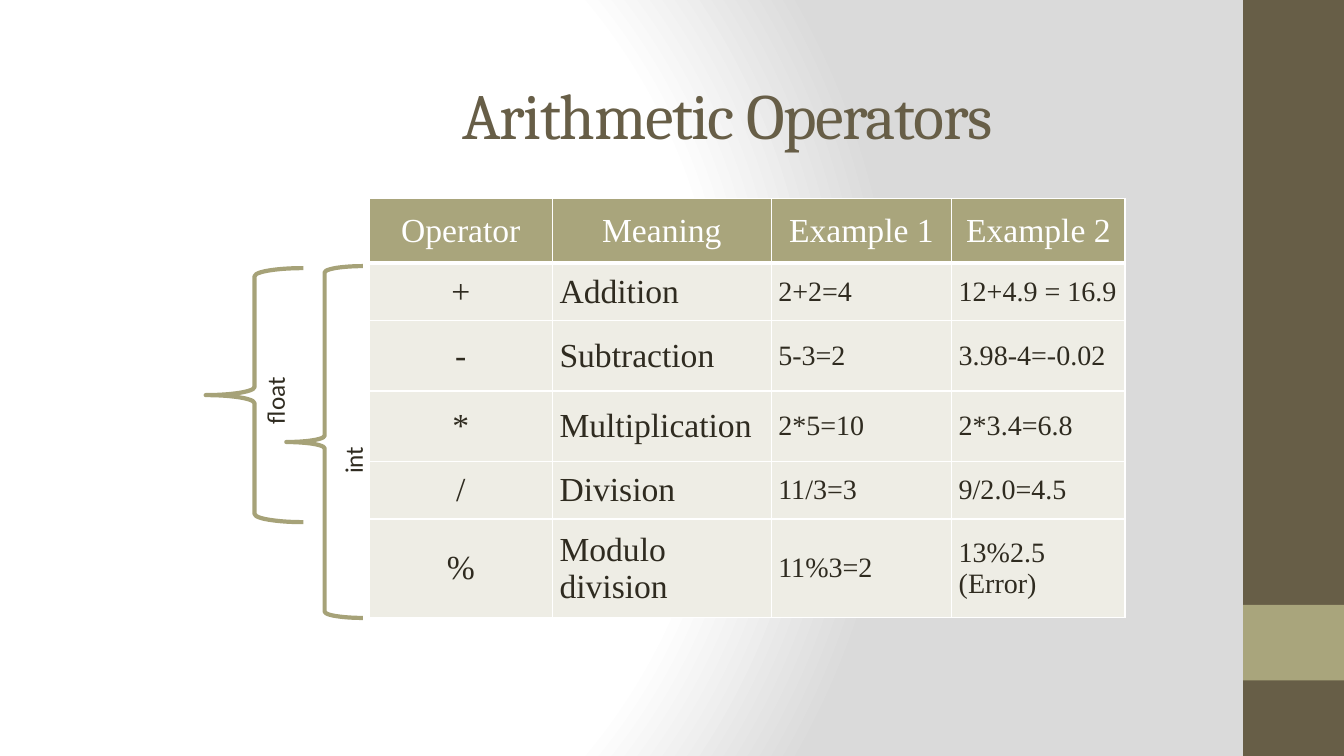
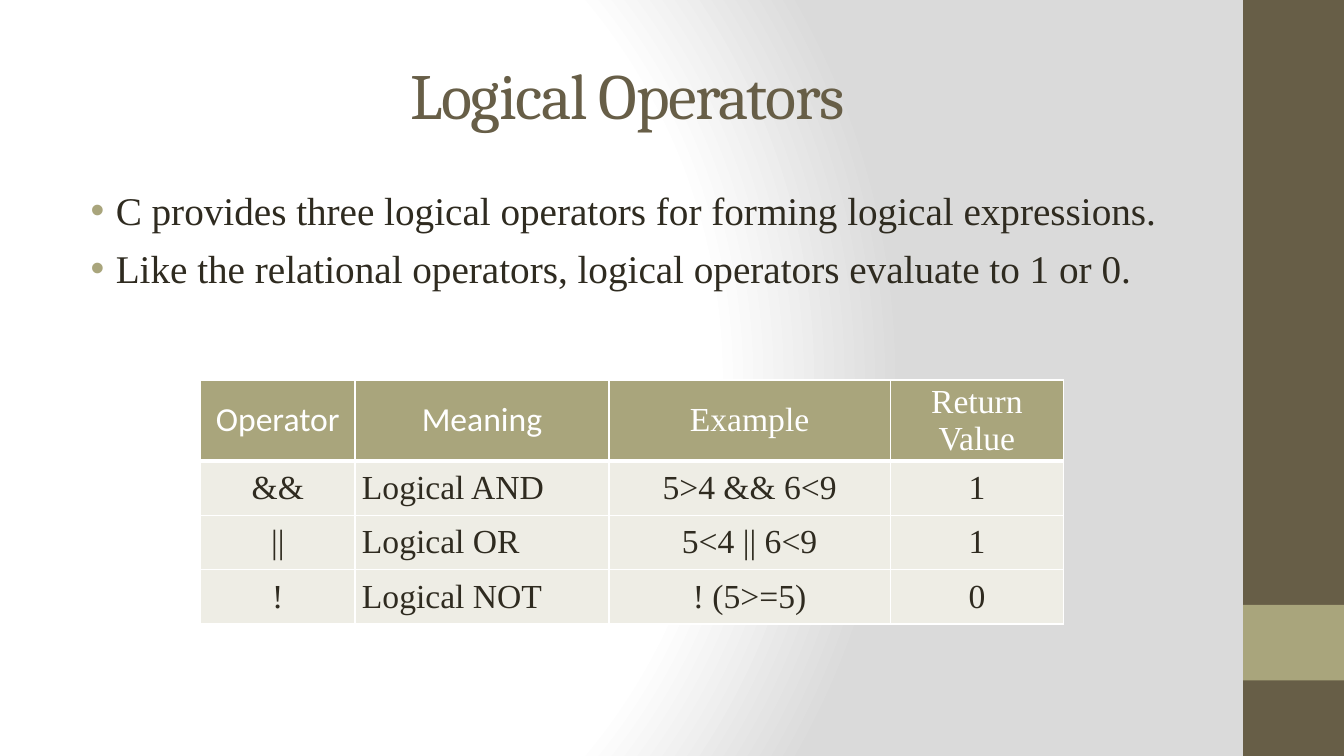
from lxml import etree
from pptx import Presentation
from pptx.dml.color import RGBColor
from pptx.enum import shapes, text
from pptx.oxml import parse_xml
from pptx.oxml.ns import nsdecls, qn
from pptx.util import Inches, Pt

BROWN, OLIVE, INK = "675E47", "A9A57C", "2F2B20"
PALE, WHITE, BRACE = "EEEDE5", "FFFFFF", "A6A278"
SERIF, SANS, HEADING = "Times New Roman", "Calibri", "Cambria"
LEFT, CENTER, JUSTIFY = text.PP_ALIGN.LEFT, text.PP_ALIGN.CENTER, text.PP_ALIGN.JUSTIFY


def color(hex_string):
    return RGBColor.from_string(hex_string)


def inches(box):
    return [Inches(length) for length in box]


def style(paragraph, font, size, hex_string, align=LEFT):
    paragraph.alignment = align
    for run in paragraph.runs:
        run.font.name = font
        run.font.size = Pt(size)
        run.font.bold = False
        run.font.color.rgb = color(hex_string)


# Shared background, bands and title
def set_background(master):
    master.background.fill.gradient()
    gradient = master.element.find(".//" + qn("a:gradFill"))
    stops = "".join(
        f'<a:gs pos="{position}000"><a:srgbClr val="{shade}"/></a:gs>'
        for position, shade in ((0, WHITE), (75, WHITE), (100, "DADADA")))
    gradient.getparent().replace(gradient, parse_xml(
        f'<a:gradFill {nsdecls("a")} rotWithShape="1"><a:gsLst>{stops}</a:gsLst>'
        '<a:path path="circle"><a:fillToRect l="20000" t="50000" r="100000" b="50000"/>'
        '</a:path></a:gradFill>'))


def add_band(slide, box, fill):
    band = slide.shapes.add_shape(shapes.MSO_SHAPE.RECTANGLE, *inches(box))
    band.shadow.inherit = False
    band.fill.solid()
    band.fill.fore_color.rgb = color(fill)
    band.line.fill.background()


def add_title(slide, box, title):
    frame = slide.shapes.add_textbox(*inches(box)).text_frame
    frame.word_wrap = True
    frame.vertical_anchor = text.MSO_ANCHOR.MIDDLE
    frame.text = title
    heading = frame.paragraphs[0]
    style(heading, HEADING, 46, BROWN, CENTER)
    heading.runs[0].font._element.set("spc", "-100")


def new_slide(prs, title, title_box):
    slide = prs.slides.add_slide(prs.slide_layouts[6])
    add_band(slide, (12.33, 0, 1, 7.5), BROWN)
    add_band(slide, (12.33, 6, 1, 0.75), OLIVE)
    add_title(slide, title_box, title)
    return slide


# Operator tables
def add_borders(cell, bottom):
    properties = cell._tc.get_or_add_tcPr()
    for side, width in (("L", 1), ("R", 1), ("T", 1), ("B", bottom)):
        properties.append(parse_xml(
            f'<a:ln{side} {nsdecls("a")} w="{Pt(width)}"><a:solidFill>'
            f'<a:srgbClr val="{WHITE}"/></a:solidFill></a:ln{side}>'))


def add_operator_table(slide, origin, widths, heights, rows, aligns, sizes, head_fonts):
    box = (*origin, sum(widths), sum(heights))
    table = slide.shapes.add_table(len(rows), len(widths), *inches(box)).table
    for column, width in zip(table.columns, widths):
        column.width = Inches(width)
    for r, (height, entries) in enumerate(zip(heights, rows)):
        table.rows[r].height = Inches(height)
        header = r == 0
        for c, entry in enumerate(entries):
            cell = table.cell(r, c)
            cell.margin_left = cell.margin_right = Inches(0.07)
            cell.margin_top = cell.margin_bottom = 0
            cell.vertical_anchor = text.MSO_ANCHOR.MIDDLE
            add_borders(cell, bottom=3 if header else 1)
            cell.fill.solid()
            cell.fill.fore_color.rgb = color(OLIVE if header else PALE)
            cell.text_frame.text = entry
            paragraph = cell.text_frame.paragraphs[0]
            if header:
                style(paragraph, head_fonts[c], 24, WHITE, CENTER)
            else:
                style(paragraph, SERIF, sizes[c], INK, aligns[c])


# Brace with its turned type label
def add_type_brace(slide, brace_box, label_box, label):
    brace = slide.shapes.add_shape(shapes.MSO_SHAPE.LEFT_BRACE, *inches(brace_box))
    brace.shadow.inherit = False
    brace.fill.background()
    brace.line.color.rgb = color(BRACE)
    brace.line.width = Pt(3)
    caption = slide.shapes.add_textbox(*inches(label_box))
    caption.rotation = 270
    caption.text_frame.word_wrap = True
    caption.text_frame.text = label
    style(caption.text_frame.paragraphs[0], SANS, 18, INK)


# Bulleted statements
def add_bullets(slide, box, statements):
    frame = slide.shapes.add_textbox(*inches(box)).text_frame
    frame.word_wrap = True
    for i, statement in enumerate(statements):
        paragraph = frame.add_paragraph() if i else frame.paragraphs[0]
        paragraph.text = statement
        if i:
            paragraph.space_before = Pt(8)
        properties = paragraph._p.get_or_add_pPr()
        properties.set("marL", str(Inches(0.38)))
        properties.set("indent", str(Inches(-0.25)))
        bullet_color = etree.SubElement(properties, qn("a:buClr"))
        etree.SubElement(bullet_color, qn("a:srgbClr"), val=OLIVE)
        etree.SubElement(properties, qn("a:buFont"), typeface="Arial")
        etree.SubElement(properties, qn("a:buChar"), char="•")
        style(paragraph, SERIF, 28, INK, JUSTIFY)


def arithmetic_slide(prs):
    slide = new_slide(prs, "Arithmetic Operators", (1.7, 0.4, 11.03, 1.45))
    rows = [
        ("Operator", "Meaning", "Example 1", "Example 2"),
        ("+", "Addition", "2+2=4", "12+4.9 = 16.9"),
        ("-", "Subtraction", "5-3=2", "3.98-4=-0.02"),
        ("*", "Multiplication", "2*5=10", "2*3.4=6.8"),
        ("/", "Division", "11/3=3", "9/2.0=4.5"),
        ("%", "Modulo division", "11%3=2", "13%2.5 (Error)"),
    ]
    add_operator_table(
        slide, (3.66, 1.97), (1.82, 2.17, 1.79, 1.72),
        (0.64, 0.57, 0.7, 0.7, 0.57, 0.98), rows,
        aligns=(CENTER, LEFT, LEFT, LEFT), sizes=(24, 24, 20, 20),
        head_fonts=(SERIF,) * 4)
    add_type_brace(slide, (2.84, 2.64, 0.76, 3.49), (3, 4.1, 1, 0.4), "int")
    add_type_brace(slide, (2.04, 2.66, 0.97, 2.52), (1.92, 3.28, 1.63, 0.42), "float")


def logical_slide(prs):
    slide = new_slide(prs, "Logical Operators", (0.67, 0.3, 11.11, 1.25))
    add_bullets(slide, (0.67, 1.8, 11.11, 1.3), [
        "C provides three logical operators for forming logical expressions.",
        "Like the relational operators, logical operators evaluate to 1 or 0.",
    ])
    rows = [
        ("Operator", "Meaning", "Example", "Return Value"),
        ("&&", "Logical AND", "5>4 && 6<9", "1"),
        ("||", "Logical OR", "5<4 || 6<9", "1"),
        ("!", "Logical NOT", "! (5>=5)", "0"),
    ]
    add_operator_table(
        slide, (1.99, 3.77), (1.53, 2.52, 2.79, 1.72), (0.74, 0.54, 0.54, 0.54), rows,
        aligns=(CENTER, LEFT, CENTER, CENTER), sizes=(24,) * 4,
        head_fonts=(SANS, SANS, SERIF, SERIF))


def main():
    prs = Presentation()
    prs.slide_width, prs.slide_height = Inches(13.33), Inches(7.5)
    set_background(prs.slide_master)
    arithmetic_slide(prs)
    logical_slide(prs)
    prs.save("out.pptx")


if __name__ == "__main__":
    main()
